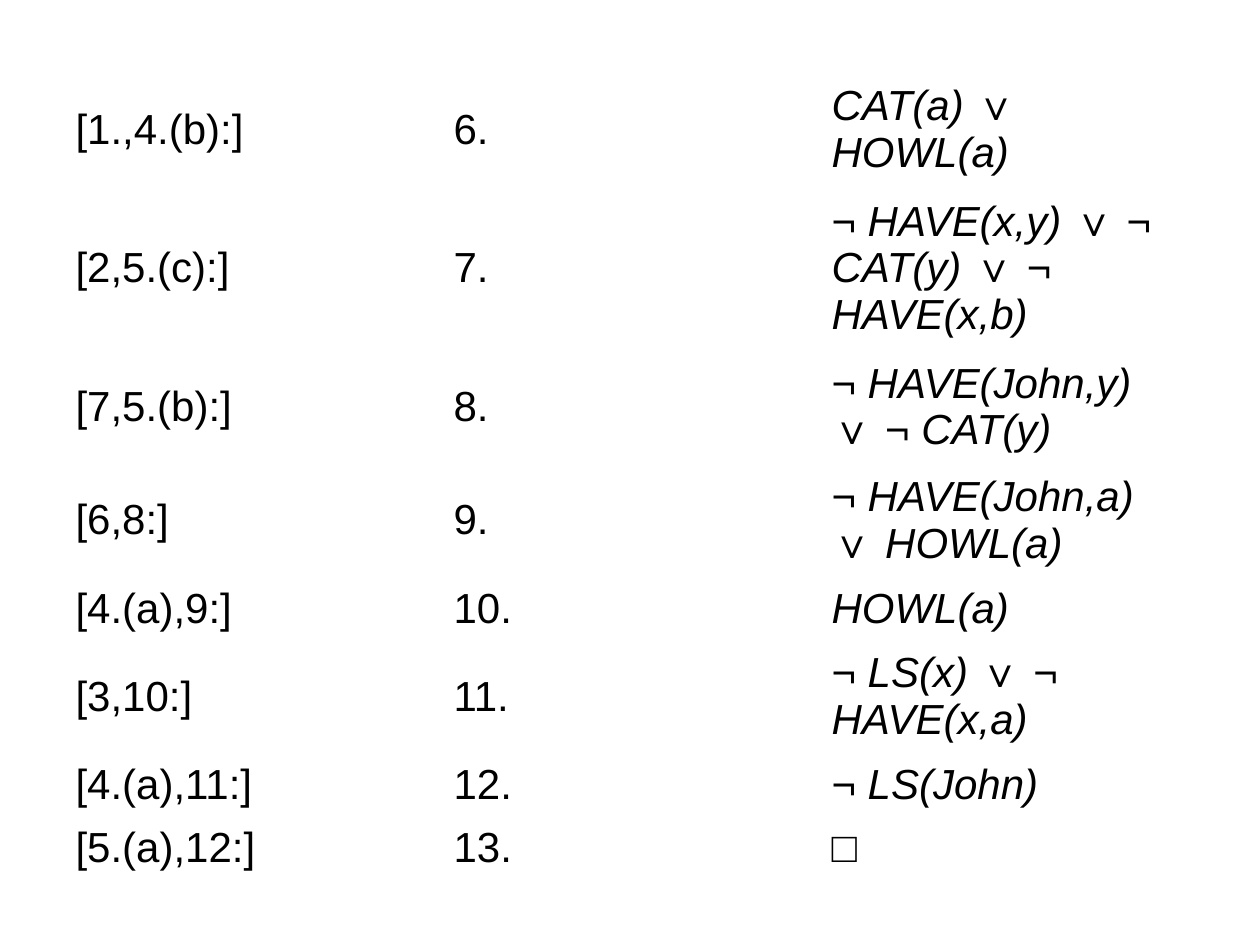
from pptx import Presentation
from pptx.dml.color import RGBColor
from pptx.enum.text import MSO_ANCHOR
from pptx.util import Inches, Pt

MIDDLE = MSO_ANCHOR.MIDDLE
BLACK = RGBColor(0, 0, 0)
FONT = "Arial"
SIZE = Pt(24)
FIRST = 6
LINES = {1: 0.5, 2: 0.9, 3: 1.3}

STEPS = [
    ("[1.,4.(b):]", "CAT(a) ∨ HOWL(a)", 2),
    ("[2,5.(c):]", "¬ HAVE(x,y) ∨ ¬ CAT(y) ∨ ¬ HAVE(x,b)", 3),
    ("[7,5.(b):]", "¬ HAVE(John,y) ∨ ¬ CAT(y)", 2),
    ("[6,8:]", "¬ HAVE(John,a) ∨ HOWL(a)", 2),
    ("[4.(a),9:]", "HOWL(a)", 1),
    ("[3,10:]", "¬ LS(x) ∨ ¬ HAVE(x,a)", 2),
    ("[4.(a),11:]", "¬ LS(John)", 1),
    ("[5.(a),12:]", "□", 1),
]

deck = Presentation()
deck.slide_width = Inches(10)
deck.slide_height = Inches(7.5)
slide = deck.slides.add_slide(deck.slide_layouts[6])

left = deck.slide_width // 20
width = deck.slide_width - 2 * left
height = Inches(sum(LINES[count] for _, _, count in STEPS))
proof = slide.shapes.add_table(
    len(STEPS), 3, left, Inches(0.58), width, height
).table
proof.first_row = False
proof.horz_banding = False
for column in proof.columns:
    column.width = width // 3

for row, (source, clause, count) in enumerate(STEPS):
    proof.rows[row].height = Inches(LINES[count])
    for col, text in enumerate((source, f"{FIRST + row}.", clause)):
        cell = proof.cell(row, col)
        cell.fill.background()
        cell.vertical_anchor = MIDDLE
        run = cell.text_frame.paragraphs[0].add_run()
        run.text = text
        run.font.name = FONT
        run.font.size = SIZE
        run.font.italic = col == 2
        run.font.color.rgb = BLACK

deck.save("out.pptx")
